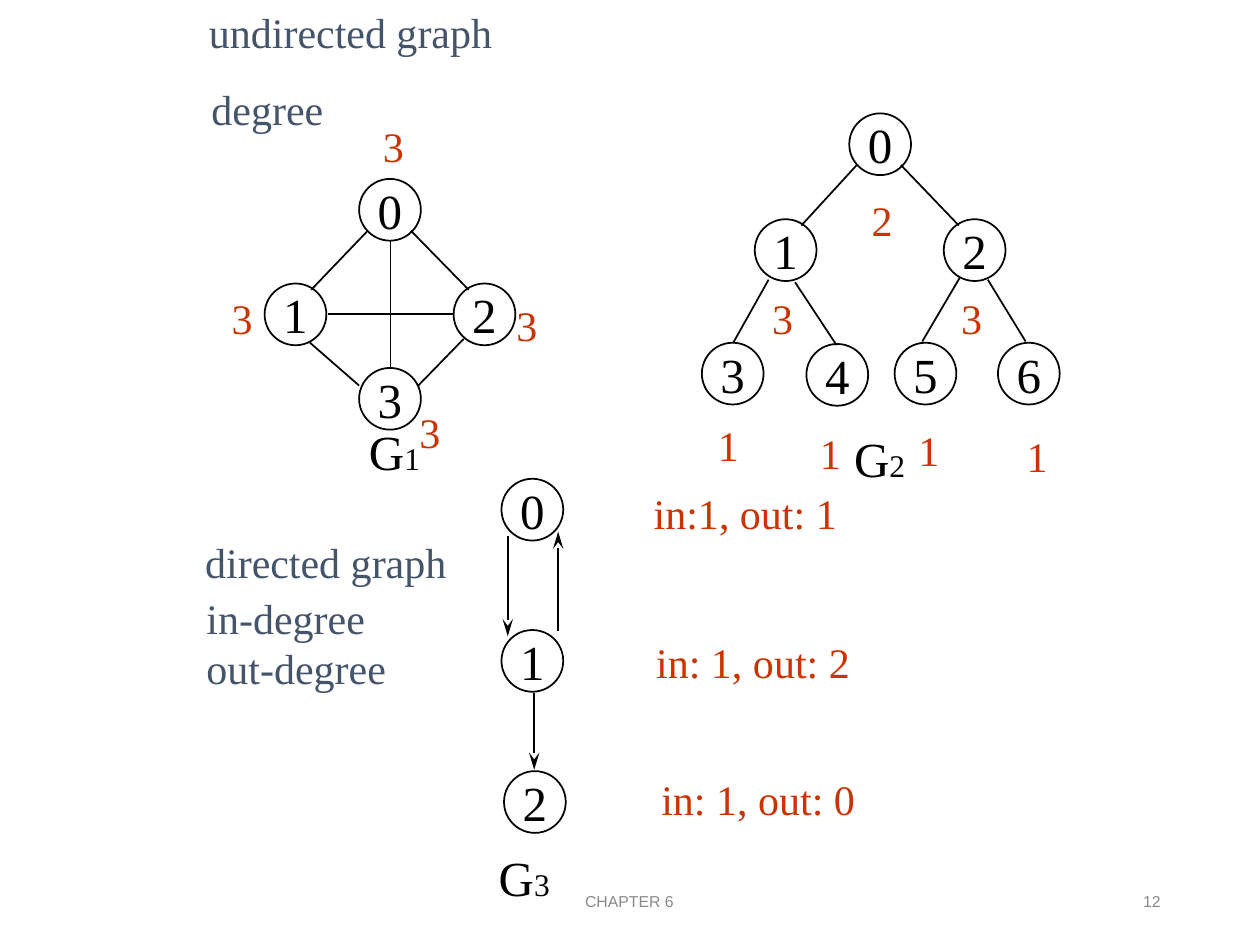
from dataclasses import dataclass

from lxml import etree
from pptx import Presentation
from pptx import util as u
from pptx.dml.color import RGBColor as Rgb
from pptx.enum import shapes, text
from pptx.oxml.ns import qn

PX = 9144
NODE = 49
LEFT, MID, RIGHT = text.PP_ALIGN.LEFT, text.PP_ALIGN.CENTER, text.PP_ALIGN.RIGHT


@dataclass(frozen=True)
class Theme:
    serif: str = "Times New Roman"
    sans: str = "Arial"
    ink: str = "000000"
    paper: str = "FFFFFF"
    head: str = "44546A"
    mark: str = "CC3300"
    foot: str = "898989"
    big: int = 28
    mid: int = 24
    sub: int = 18
    tiny: int = 9
    line: int = 1


T = Theme()


def emu(*vals):
    return [u.Emu(v * PX) for v in vals]


def rgb(code):
    return Rgb.from_string(code)


def fill_text(shape, paras, color, face=T.serif, align=LEFT, wrap=False, top=False):
    frame = shape.text_frame
    frame.word_wrap = wrap
    frame.vertical_anchor = text.MSO_ANCHOR.TOP if top else text.MSO_ANCHOR.MIDDLE
    for i, runs in enumerate(paras):
        para = frame.add_paragraph() if i else frame.paragraphs[0]
        para.alignment = align
        for words, size in runs:
            run = para.add_run()
            run.text = words
            run.font.name = face
            run.font.size = u.Pt(size)
            run.font.color.rgb = rgb(color)


def add_text(slide, box, paras, color, wrap=False, **style):
    shape = slide.shapes.add_textbox(*emu(*box))
    fill_text(shape, paras, color, wrap=wrap, **style)
    if not wrap:
        shape.text_frame.auto_size = text.MSO_AUTO_SIZE.SHAPE_TO_FIT_TEXT


def add_node(slide, x, y, name):
    node = slide.shapes.add_shape(shapes.MSO_SHAPE.OVAL, *emu(x, y, NODE, NODE))
    node.shadow.inherit = False
    node.fill.solid()
    node.fill.fore_color.rgb = rgb(T.paper)
    node.line.color.rgb = rgb(T.ink)
    node.line.width = u.Pt(T.line)
    fill_text(node, [[(name, T.big)]], T.ink, align=MID)


def add_edge(slide, ends, arrow):
    edge = slide.shapes.add_connector(shapes.MSO_CONNECTOR.STRAIGHT, *emu(*ends))
    edge.line.color.rgb = rgb(T.ink)
    edge.line.width = u.Pt(T.line)
    if arrow:
        tail = etree.SubElement(edge.line._get_or_add_ln(), qn("a:tailEnd"))
        tail.set("type", "stealth")
        tail.set("w", "med")
        tail.set("len", "lg")
    etree.SubElement(edge._element.spPr, qn("a:effectLst"))


def add_graph(slide, box, nodes, edges, name, arrow=False):
    left, top = box[:2]
    for i, (x, y) in enumerate(nodes):
        add_node(slide, left + x, top + y, str(i))
    for x1, y1, x2, y2 in edges:
        add_edge(slide, (left + x1, top + y1, left + x2, top + y2), arrow)
    x, y, sub = name
    add_text(slide, (left + x, top + y, 61, 57),
             [[("G", T.big), (sub, T.sub)]], T.ink, top=True)


def add_marks(slide, box, marks, width=36, align=MID):
    for x, y, words in marks:
        add_text(slide, (box[0] + x, box[1] + y, width, 50),
                 [[(words, T.mid)]], T.mark, align=align)


def add_full(slide, box):
    nodes = [(111, 51), (36, 134), (186, 134), (111, 201)]
    edges = [(136, 100, 136, 200), (86, 158, 186, 158), (118, 92, 73, 139),
             (152, 92, 198, 139), (72, 181, 111, 215), (194, 178, 158, 215)]
    add_graph(slide, box, nodes, edges, (109, 239, "1"))
    spots = [(120, 0), (226, 142), (0, 136), (149, 227)]
    add_marks(slide, box, [(x, y, "3") for x, y in spots])


def add_tree(slide, box):
    nodes = [(117, 0), (42, 84), (192, 84),
             (0, 182), (83, 183), (153, 182), (235, 182)]
    edges = [(123, 41, 79, 89), (158, 41, 204, 89), (53, 132, 25, 182),
             (74, 134, 107, 184), (205, 130, 175, 181), (227, 132, 257, 181)]
    add_graph(slide, box, nodes, edges, (111, 245, "2"))
    add_marks(slide, box, [(125, 59, "2"), (46, 137, "3"), (196, 137, "3"),
                           (3, 238, "1"), (84, 244, "1"),
                           (162, 242, "1"), (248, 247, "1")])


def add_chain(slide, box):
    nodes = [(12, 0), (12, 120), (14, 232)]
    edges = [(38, 170, 38, 231), (57, 121, 57, 42), (17, 45, 17, 125)]
    add_graph(slide, box, nodes, edges, (0, 288, "3"), arrow=True)
    add_marks(slide, box, [(123, 2, "in:1, out: 1"),
                           (125, 120, "in: 1, out: 2"),
                           (129, 229, "in: 1, out: 0")], 180, LEFT)


def add_heads(slide, box):
    heads = [(3, 0, 250, 50, ["undirected graph"]),
             (5, 61, 115, 50, ["degree"]),
             (0, 421, 217, 50, ["directed graph"]),
             (1, 465, 170, 90, ["in-degree", "out-degree"])]
    for x, y, w, h, rows in heads:
        add_text(slide, (box[0] + x, box[1] + y, w, h),
                 [[(row, T.mid)] for row in rows], T.head)


def add_foot(slide, box):
    left, top, _, high = box
    for x, w, words, align in [(0, 337, "CHAPTER 6", MID), (375, 225, "12", RIGHT)]:
        add_text(slide, (left + x, top, w, high), [[(words, T.tiny)]],
                 T.foot, face=T.sans, align=align, wrap=True)


def main():
    deck = Presentation()
    deck.slide_width, deck.slide_height = emu(1000, 750)
    slide = deck.slides.add_slide(deck.slide_layouts[6])
    add_foot(slide, (331, 695, 600, 40))
    add_heads(slide, (153, 0, 253, 555))
    add_tree(slide, (557, 90, 284, 302))
    add_chain(slide, (386, 380, 309, 345))
    add_full(slide, (174, 91, 262, 296))
    deck.save("out.pptx")


if __name__ == "__main__":
    main()
